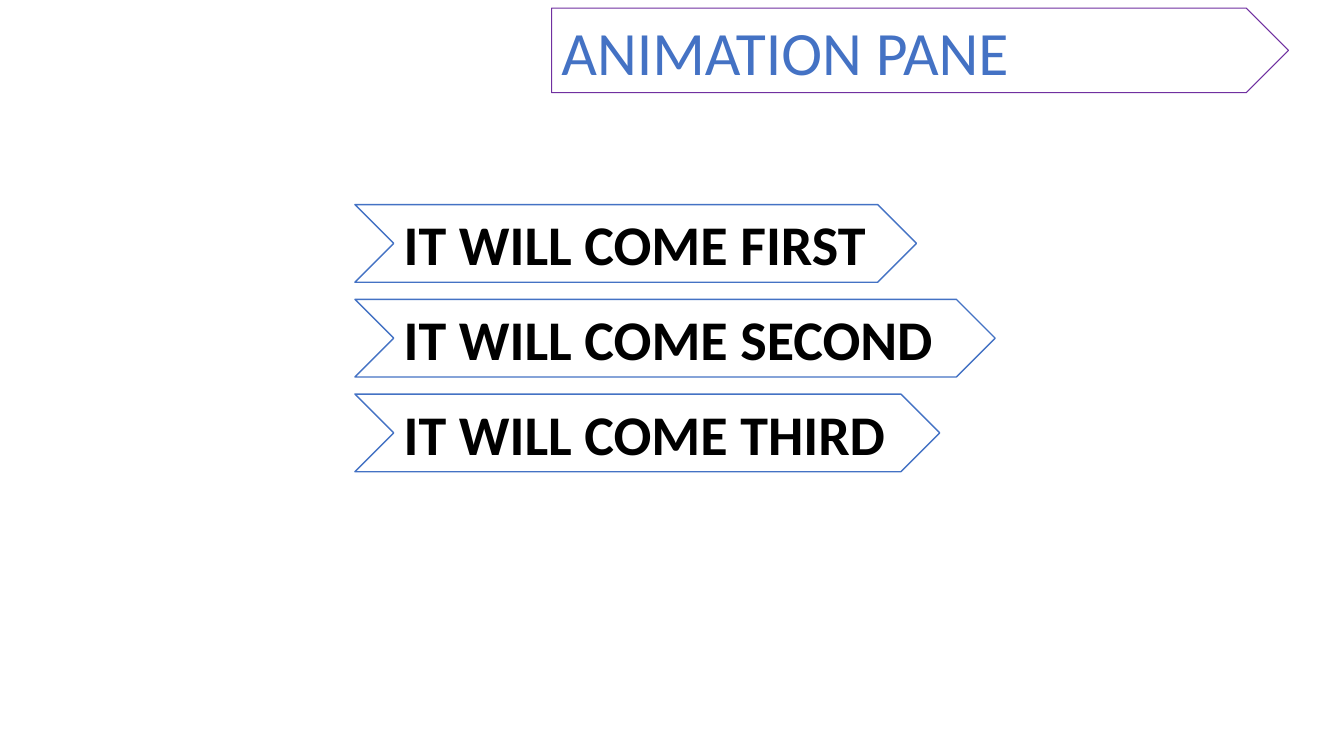
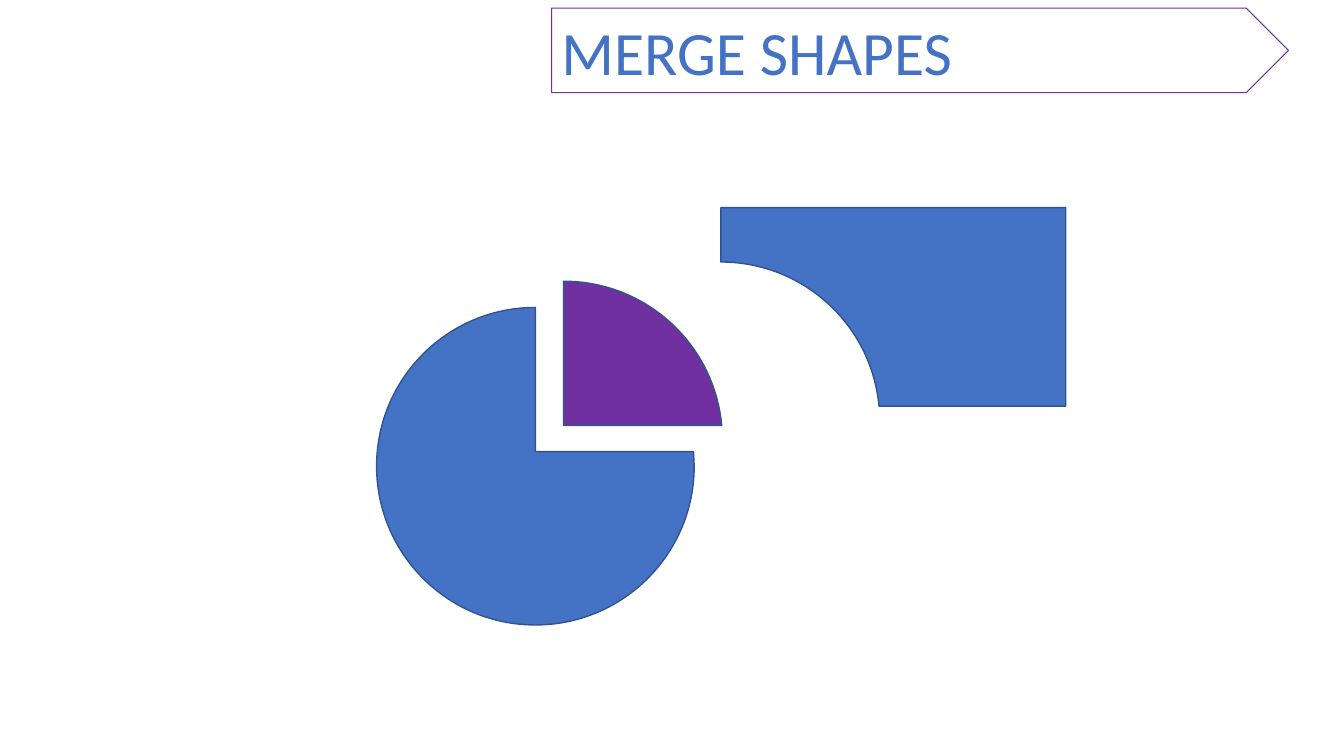
import math
from dataclasses import dataclass

import lxml.etree
import pptx
import pptx.dml.color
import pptx.enum.shapes
import pptx.enum.text
import pptx.oxml.ns
import pptx.util

Inches = pptx.util.Inches
Pt = pptx.util.Pt
RGBColor = pptx.dml.color.RGBColor
ShapeType = pptx.enum.shapes.MSO_SHAPE
qualified = pptx.oxml.ns.qn


@dataclass(frozen=True)
class Theme:
    font: str = "Calibri"
    white: str = "FFFFFF"
    black: str = "000000"
    blue: str = "4472C4"
    dark_blue: str = "31538F"
    purple: str = "7030A0"
    title_size: int = 44
    step_size: int = 40
    title_line: float = 0.75
    shape_line: float = 1


THEME = Theme()
TITLE_BOX = (5.47, 0.08, 7.31, 0.84)

STEPS = [
    ("IT WILL COME FIRST", 5.57),
    ("IT WILL COME SECOND", 6.35),
    ("IT WILL COME THIRD", 5.8),
]
STEP_LEFT, STEP_TOP, STEP_HEIGHT, STEP_PITCH = 3.52, 2.03, 0.77, 0.94

RADIUS = 3.15 / 2
CUT_DEPTH = 1.43  # from the top of each circle down to its horizontal cut
CURVE_DEPTH = 1.41  # where the arc gives way to a short straight edge


def style_shape(shape, fill, line, line_width):
    shape.shadow.inherit = False
    if fill:
        shape.fill.solid()
        shape.fill.fore_color.rgb = RGBColor.from_string(fill)
    else:
        shape.fill.background()
    shape.line.color.rgb = RGBColor.from_string(line)
    shape.line.width = Pt(line_width)


def write_text(shape, text, color, **font_format):
    frame = shape.text_frame
    frame_format = {
        "word_wrap": True,
        "auto_size": pptx.enum.text.MSO_AUTO_SIZE.SHAPE_TO_FIT_TEXT,
        "vertical_anchor": pptx.enum.text.MSO_ANCHOR.MIDDLE,
    }
    for name, value in frame_format.items():
        setattr(frame, name, value)
    paragraph = frame.paragraphs[0]
    paragraph.alignment = pptx.enum.text.PP_ALIGN.LEFT
    run = paragraph.add_run()
    run.text = text
    for name, value in {"name": THEME.font, **font_format}.items():
        setattr(run.font, name, value)
    run.font.color.rgb = RGBColor.from_string(color)


def add_title(slide, text):
    banner = slide.shapes.add_shape(ShapeType.PENTAGON, *map(Inches, TITLE_BOX))
    style_shape(banner, None, THEME.purple, THEME.title_line)
    write_text(banner, text, THEME.blue, size=Pt(THEME.title_size))


def add_step(slide, index, text, width):
    box = (STEP_LEFT, STEP_TOP + index * STEP_PITCH, width, STEP_HEIGHT)
    chevron = slide.shapes.add_shape(ShapeType.CHEVRON, *map(Inches, box))
    style_shape(chevron, THEME.white, THEME.blue, THEME.shape_line)
    write_text(chevron, text, THEME.black, size=Pt(THEME.step_size), bold=True)


def angle_at(depth):
    """Angle, clockwise from the top, of the right-hand circle point at a depth."""
    return math.acos((RADIUS - depth) / RADIUS)


def circle_point(top, angle):
    x, y = top
    return x + RADIUS * math.sin(angle), y + RADIUS * (1 - math.cos(angle))


def arc(top, start, end):
    """Two control points and the end point of a Bezier arc of a circle."""
    reach = 4 / 3 * math.tan((end - start) / 4) * RADIUS
    start_x, start_y = circle_point(top, start)
    end_x, end_y = circle_point(top, end)
    return [
        (start_x + reach * math.cos(start), start_y + reach * math.sin(start)),
        (end_x - reach * math.cos(end), end_y - reach * math.sin(end)),
        (end_x, end_y),
    ]


def add_outline(slide, start, edges, fill):
    """Draw edges given as one point (line) or three points (Bezier curve)."""
    builder = slide.shapes.build_freeform(*map(Inches, start))
    ends = [tuple(map(Inches, edge[-1])) for edge in edges]
    builder.add_line_segments(ends, close=True)
    shape = builder.convert_to_shape()
    for line, edge in zip(shape._element.xpath(".//a:lnTo"), edges):
        if len(edge) == 3:
            bend(line, edge, shape.left, shape.top)
    style_shape(shape, fill, THEME.dark_blue, THEME.shape_line)


def bend(line, points, left, top):
    """Turn a straight edge into a Bezier curve."""
    line.tag = qualified("a:cubicBezTo")
    for child in list(line):
        line.remove(child)
    for x, y in points:
        position = {"x": str(Inches(x) - left), "y": str(Inches(y) - top)}
        lxml.etree.SubElement(line, qualified("a:pt"), position)


def cut_corner(top):
    return top[0], top[1] + CUT_DEPTH


def add_quarter(slide, top, fill):
    edges = [
        arc(top, 0, angle_at(CURVE_DEPTH)),
        [circle_point(top, angle_at(CUT_DEPTH))],
        [cut_corner(top)],
        [top],
    ]
    add_outline(slide, top, edges, fill)


def add_cut_rectangle(slide, circle_top, upper, right, fill):
    left, bottom = cut_corner(circle_top)
    curve_end = angle_at(CURVE_DEPTH)
    edges = [
        [(right, upper)],
        [(right, bottom)],
        [circle_point(circle_top, angle_at(CUT_DEPTH))],
        [circle_point(circle_top, curve_end)],
        arc(circle_top, curve_end, 0),
        [(left, upper)],
    ]
    add_outline(slide, (left, upper), edges, fill)


def add_cut_circle(slide, top, fill):
    quarter = math.pi / 2
    edges = [
        [cut_corner(top)],
        [circle_point(top, angle_at(CUT_DEPTH))],
        [circle_point(top, quarter)],
    ]
    edges += [arc(top, turn * quarter, (turn + 1) * quarter) for turn in (1, 2, 3)]
    add_outline(slide, top, edges, fill)


def add_slide(presentation, title):
    slide = presentation.slides.add_slide(presentation.slide_layouts[6])
    add_title(slide, title)
    return slide


def build_animation_slide(presentation):
    slide = add_slide(presentation, "ANIMATION PANE")
    for index, (text, width) in enumerate(STEPS):
        add_step(slide, index, text, width)


def build_merge_slide(presentation):
    slide = add_slide(presentation, "MERGE SHAPES")
    add_quarter(slide, (5.59, 2.79), THEME.purple)
    add_cut_rectangle(slide, (7.15, 2.6), 2.06, 10.57, THEME.blue)
    add_cut_circle(slide, (5.31, 3.05), THEME.blue)


def main():
    presentation = pptx.Presentation()
    presentation.slide_width = Inches(13.33)
    presentation.slide_height = Inches(7.5)
    build_animation_slide(presentation)
    build_merge_slide(presentation)
    presentation.save("out.pptx")


if __name__ == "__main__":
    main()
